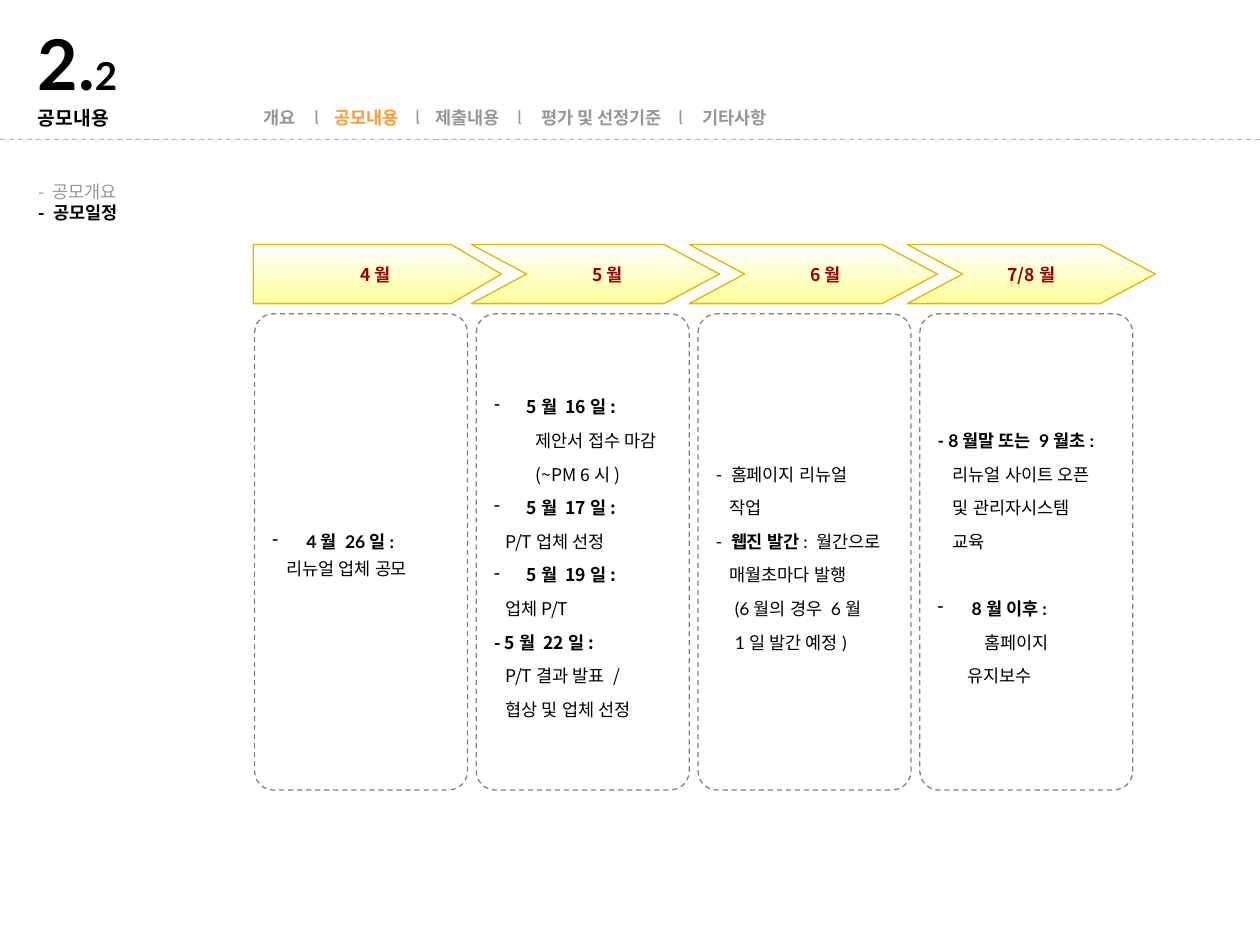
import pptx
import pptx.dml.color
import pptx.enum.dml
import pptx.enum.shapes
import pptx.enum.text
import pptx.oxml
import pptx.oxml.ns
import pptx.util
from lxml import etree

WIDTH, HEIGHT = 10, 7.5
LATO, NOTO = "Lato", "Noto Sans CJK KR"
BLACK, GREY, ORANGE, RED = "000000", "969696", "FF9933", "990000"
SHAPES = pptx.enum.shapes.MSO_SHAPE
ALIGN = pptx.enum.text.PP_ALIGN
ANCHOR = pptx.enum.text.MSO_ANCHOR
DASH = pptx.enum.dml.MSO_LINE.DASH

# Schedule: month, label shift, font, line spacing, then (text, left, bullet);
# text between asterisks is bold
SCHEDULE = [
    ("4월", 0.17, LATO, 1.3, [
        ("*4월 26일:*", 0.27, True), ("리뉴얼 업체 공모", 0.11, False)]),
    ("5월", 0.19, NOTO, 1.6, [
        ("*5월 16일:*", 0.26, True), ("제안서 접수 마감", 0.33, False),
        ("(~PM 6시)", 0.33, False),
        ("*5월 17일:*", 0.26, True), ("P/T업체 선정", 0.09, False),
        ("*5월 19일:*", 0.26, True), ("업체P/T", 0.09, False),
        ("*- 5월 22일:*", 0, False), ("P/T결과 발표 /", 0.09, False),
        ("협상 및 업체 선정", 0.09, False)]),
    ("6월", 0.19, LATO, 1.6, [
        ("- 홈페이지 리뉴얼", 0, False), ("작업", 0.11, False),
        ("- *웹진 발간*: 월간으로", 0, False), ("매월초마다 발행", 0.11, False),
        ("(6월의 경우 6월", 0.15, False), ("1일 발간 예정)", 0.15, False)]),
    ("7/8월", 0, LATO, 1.6, [
        ("*- 8월말 또는 9월초:*", 0, False), ("리뉴얼 사이트 오픈", 0.12, False),
        ("및 관리자시스템", 0.12, False), ("교육", 0.12, False),
        ("*8월 이후:*", 0.27, True), ("홈페이지", 0.37, False),
        ("유지보수", 0.24, False)]),
]
SECTION_GAPS = {"*8월 이후:*": 19.2}

# Navigation: text, tab position, colour, bold
NAVIGATION = [
    ("개요", 0, GREY, True), ("l", 0.41, GREY, False),
    ("공모내용", 0.57, ORANGE, True), ("l", 1.21, GREY, False),
    ("제출내용", 1.37, GREY, True), ("l", 2.02, GREY, False),
    ("평가 및 선정기준", 2.21, GREY, True), ("l", 3.3, GREY, False),
    ("기타사항", 3.49, GREY, True),
]


def inches(*values):
    return [pptx.util.Inches(value) for value in values]


def color(hex_value):
    return pptx.dml.color.RGBColor.from_string(hex_value)


def add_run(paragraph, text, size, font, hex_value, bold=False):
    run = paragraph.add_run()
    run.text = text
    formats = {"size": pptx.util.Pt(size), "name": font, "bold": bold}
    for attribute, value in formats.items():
        setattr(run.font, attribute, value)
    run.font.color.rgb = color(hex_value)
    east_asian = etree.SubElement(run.font._element, pptx.oxml.ns.qn("a:ea"))
    east_asian.set("typeface", LATO)


def next_paragraph(frame, index):
    return frame.paragraphs[0] if index == 0 else frame.add_paragraph()


def set_frame(frame, side=0.1, end=0.05, shift=0, anchor=ANCHOR.TOP, wrap=True):
    formats = {
        "margin_left": pptx.util.Inches(side + shift),
        "margin_right": pptx.util.Inches(side),
        "margin_top": pptx.util.Inches(end),
        "margin_bottom": pptx.util.Inches(end),
        "vertical_anchor": anchor, "word_wrap": wrap,
    }
    for attribute, value in formats.items():
        setattr(frame, attribute, value)
    return frame


def set_indent(paragraph, left, bullet):
    properties = paragraph._p.get_or_add_pPr()
    margin = pptx.util.Inches(left)
    properties.set("marL", str(margin))
    properties.set("indent", str(-margin if bullet else 0))
    if bullet:
        etree.SubElement(properties, pptx.oxml.ns.qn("a:buChar")).set("char", "-")


def add_title(slide, box):
    textbox = slide.shapes.add_textbox(*inches(*box))
    frame = set_frame(textbox.text_frame, side=0.09, end=0.04)
    number, heading = frame.paragraphs[0], frame.add_paragraph()
    number.line_spacing, heading.line_spacing = 0.8, 1.1
    add_run(number, "2.", 40, LATO, BLACK, True)
    add_run(number, "2", 22, LATO, BLACK, True)
    add_run(heading, "공모내용", 11, LATO, BLACK, True)


def add_navigation(slide, box):
    frame = set_frame(slide.shapes.add_textbox(*inches(*box)).text_frame)
    menu = frame.paragraphs[0]
    tabs = etree.SubElement(menu._p.get_or_add_pPr(), pptx.oxml.ns.qn("a:tabLst"))
    for index, (text, position, hex_value, bold) in enumerate(NAVIGATION):
        if index:
            tab = etree.SubElement(tabs, pptx.oxml.ns.qn("a:tab"))
            tab.set("pos", str(pptx.util.Inches(position)))
            tab.set("algn", "l")
            text = "\t" + text
        add_run(menu, text, 10, NOTO, hex_value, bold)


def add_divider(slide, y):
    divider = slide.shapes.add_connector(
        pptx.enum.shapes.MSO_CONNECTOR.STRAIGHT, *inches(0, y, WIDTH, y))
    divider.line.color.rgb = color("B2B2B2")
    divider.line.width = pptx.util.Pt(0.75)
    divider.line.dash_style = DASH
    etree.SubElement(divider._element.spPr, pptx.oxml.ns.qn("a:effectLst"))


def add_side_menu(slide, box):
    frame = set_frame(slide.shapes.add_textbox(*inches(*box)).text_frame)
    items = [("- 공모개요", GREY, False), ("- 공모일정", BLACK, True)]
    for index, (text, hex_value, bold) in enumerate(items):
        add_run(next_paragraph(frame, index), text, 10, NOTO, hex_value, bold)


def add_outlined(slide, kind, box, adjustment, hex_value):
    shape = slide.shapes.add_shape(kind, *inches(*box))
    shape.adjustments[0] = adjustment
    shape.shadow.inherit = False
    shape.line.color.rgb = color(hex_value)
    shape.line.width = pptx.util.Pt(0.75)
    return shape


def add_month(slide, box, first, label, shift):
    kind, point = (SHAPES.PENTAGON, 0.4) if first else (SHAPES.CHEVRON, 0.44)
    arrow = add_outlined(slide, kind, box, point / box[3], "E2B700")
    arrow.fill.gradient()
    arrow.fill.gradient_angle = 270
    for stop, hex_value in zip(arrow.fill.gradient_stops, ("FEFEFE", "FFFF99")):
        stop.color.rgb = color(hex_value)
    frame = set_frame(arrow.text_frame, shift=shift, anchor=ANCHOR.MIDDLE, wrap=False)
    frame.paragraphs[0].alignment = ALIGN.CENTER
    add_run(frame.paragraphs[0], label, 10, NOTO, RED, True)


def add_tasks(slide, box, font, spacing, lines):
    card = add_outlined(slide, SHAPES.ROUNDED_RECTANGLE, box, 0.15 / box[2], "808080")
    card.line.dash_style = DASH
    card.fill.solid()
    card.fill.fore_color.rgb = color("FFFFFF")
    frame = set_frame(card.text_frame, anchor=ANCHOR.MIDDLE)
    for index, (text, left, bullet) in enumerate(lines):
        paragraph = next_paragraph(frame, index)
        set_indent(paragraph, left, bullet)
        paragraph.alignment = ALIGN.LEFT
        paragraph.line_spacing = spacing
        if text in SECTION_GAPS:
            paragraph.space_before = pptx.util.Pt(SECTION_GAPS[text])
        for part, piece in enumerate(text.split("*")):
            if piece:
                add_run(paragraph, piece, 10, font, BLACK, part % 2 == 1)


def add_schedule(slide, left, top):
    month_step, card_step = 1.73, 1.76
    for column, (month, shift, font, spacing, lines) in enumerate(SCHEDULE):
        month_box = (left + column * month_step, top, 1.97, 0.47)
        card_box = (left + 0.01 + column * card_step, top + 0.55, 1.69, 3.78)
        add_tasks(slide, card_box, font, spacing, lines)
        add_month(slide, month_box, column == 0, month, shift)


def main():
    deck = pptx.Presentation()
    deck.slide_width, deck.slide_height = inches(WIDTH, HEIGHT)
    slide = deck.slides.add_slide(deck.slide_layouts[6])
    add_divider(slide, 1.11)
    add_navigation(slide, (1.99, 0.8, 4.25, 0.27))
    add_schedule(slide, 2.01, 1.94)
    add_side_menu(slide, (0.21, 1.39, 1.64, 0.44))
    add_title(slide, (0.21, 0.25, 2.35, 0.82))
    deck.save("out.pptx")


if __name__ == "__main__":
    main()
